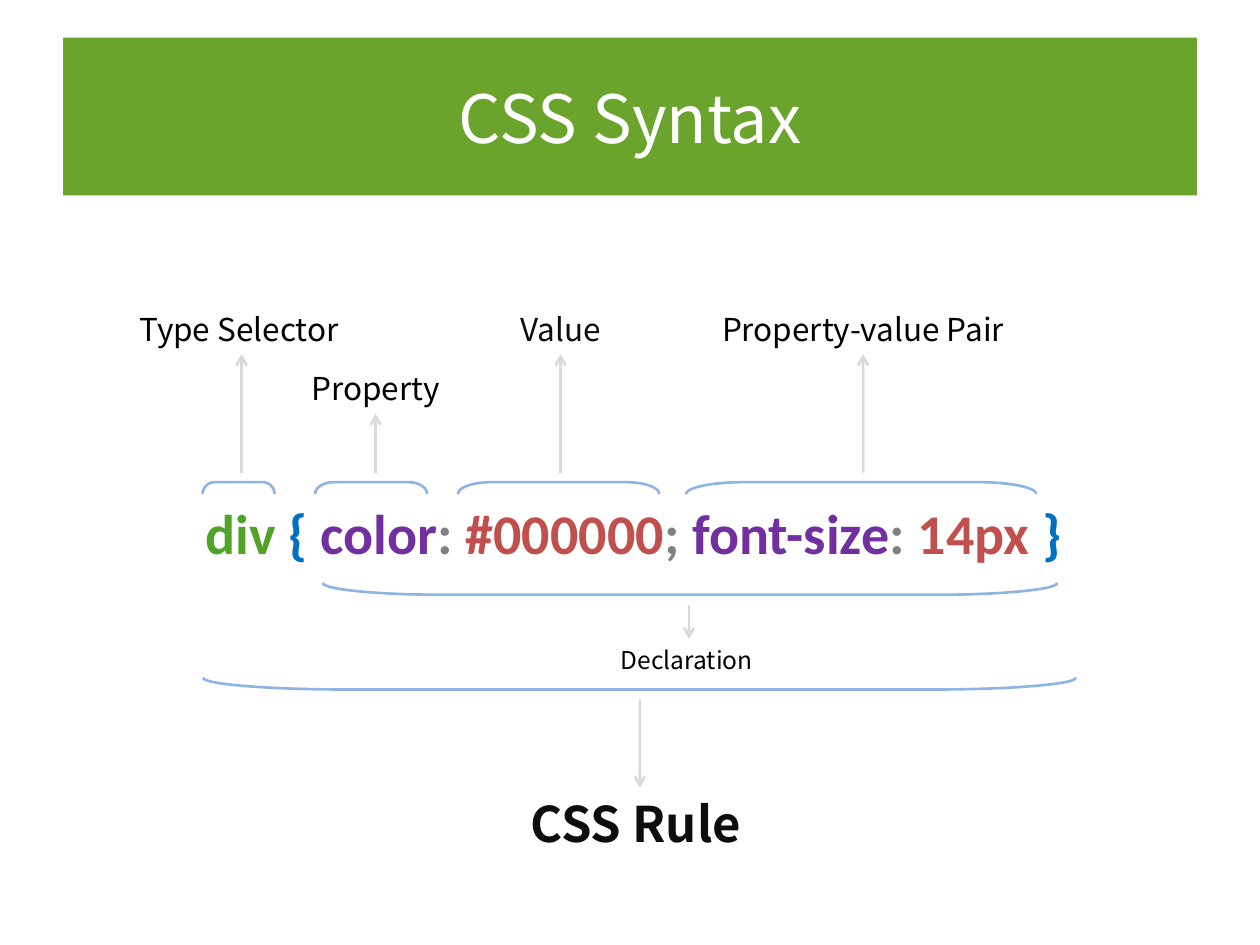
import pptx
import pptx.dml.color
import pptx.enum.shapes
import pptx.enum.text
import pptx.oxml
import pptx.oxml.ns
import pptx.util

Cm = pptx.util.Cm
Pt = pptx.util.Pt
ALIGN = pptx.enum.text.PP_ALIGN
SANS = "Noto Sans CJK SC"
THICK = 0.24  # depth of a bracket, cm

COLORS = {
    "band": "6BA42C", "white": "FFFFFF", "black": "000000", "ink": "0D0D0D",
    "arrow": "D9D9D9", "bracket": "8EB4E3", "tag": "51A228", "brace": "0070C0",
    "prop": "7030A0", "mark": "808080", "value": "C0504D",
}

CODE = [
    ("div ", "tag"), ("{ ", "brace"), ("color", "prop"), (": ", "mark"),
    ("#000000", "value"), ("; ", "mark"), ("font-size", "prop"),
    (": ", "mark"), ("14px ", "value"), ("}", "brace"),
]

# text, centre x, top, width, height, size, colour, bold, alignment, arrow start y
LABELS = [
    ("Type\u00a0Selector", 4.87, 6.12, 4.62, 1.02, 18, "black", False, ALIGN.LEFT, 9.53),
    ("Property", 7.57, 7.32, 3.18, 1.02, 18, "black", False, ALIGN.CENTER, 9.53),
    ("Value", 11.3, 6.12, 2.18, 1.02, 18, "ink", False, ALIGN.CENTER, 9.53),
    ("Property-value Pair", 17.4, 6.12, 6.4, 1.02, 18, "black", False, ALIGN.CENTER, 9.53),
    ("Declaration", 13.89, 12.88, 3.25, 0.86, 14, "black", False, ALIGN.LEFT, 12.19),
    ("CSS Rule", 12.9, 15.88, 4.9, 1.45, 28, "ink", True, ALIGN.LEFT, 14.1),
]

# centre x, centre y, length, rotation
BRACKETS = [
    (4.81, 9.84, 1.45, 90), (7.48, 9.84, 2.26, 90),
    (11.26, 9.84, 4.06, 90), (17.36, 9.84, 7.06, 90),
    (13.91, 11.87, 14.81, 270), (12.89, 13.78, 17.6, 270),
]


def rgb(name):
    return pptx.dml.color.RGBColor.from_string(COLORS[name])


def style(run, font, size, color, bold=False):
    run.font.name = font
    run.font.size = Pt(size)
    run.font.bold = bold
    run.font.color.rgb = rgb(color)


def add_title(slide, text):
    title = slide.shapes.title
    title.left, title.top = Cm(1.27), Cm(0.76)
    title.width, title.height = Cm(22.86), Cm(3.18)
    title.fill.solid()
    title.fill.fore_color.rgb = rgb("band")
    frame = title.text_frame
    frame.text = text
    frame.vertical_anchor = pptx.enum.text.MSO_ANCHOR.MIDDLE
    frame.paragraphs[0].alignment = ALIGN.CENTER
    style(frame.paragraphs[0].runs[0], SANS, 38, "white")


def add_box(slide, left, top, width, height):
    box = slide.shapes.add_textbox(Cm(left), Cm(top), Cm(width), Cm(height))
    box.text_frame.word_wrap = False
    box.text_frame.auto_size = pptx.enum.text.MSO_AUTO_SIZE.SHAPE_TO_FIT_TEXT
    return box


def add_code(slide):
    box = add_box(slide, 3.89, 9.93, 17.96, 1.63)
    for text, color in CODE:
        run = box.text_frame.paragraphs[0].add_run()
        run.text = text
        style(run, "Calibri", 32, color, True)


def add_label(slide, text, mid, top, width, height, size, color, bold, align):
    box = add_box(slide, mid - width / 2, top, width, height)
    box.text_frame.text = text
    para = box.text_frame.paragraphs[0]
    para.alignment = align
    style(para.runs[0], SANS, size, color, bold)
    return box


def add_arrow(slide, label, mid, start):
    site = 0 if Cm(start) < label.top else 2
    line = slide.shapes.add_connector(
        pptx.enum.shapes.MSO_CONNECTOR.STRAIGHT, Cm(mid), Cm(start), Cm(mid), label.top)
    line.end_connect(label, site)
    line.line.color.rgb = rgb("arrow")
    line.line.width = Pt(1.5)
    # Open arrowhead, no shadow
    qn = pptx.oxml.ns.qn
    ln = line.line._get_or_add_ln()
    ln.append(ln.makeelement(qn("a:tailEnd"), {"type": "arrow"}))
    props = line._element.spPr
    props.append(props.makeelement(qn("a:effectLst"), {}))


def add_bracket(slide, mid, level, length, turn):
    shape = slide.shapes.add_shape(
        pptx.enum.shapes.MSO_SHAPE.LEFT_BRACKET,
        Cm(mid - THICK / 2), Cm(level - length / 2), Cm(THICK), Cm(length))
    shape.rotation = turn
    shape.adjustments[0] = length / 6 / THICK  # each curve spans a sixth
    shape.shadow.inherit = False
    shape.fill.background()
    shape.line.color.rgb = rgb("bracket")
    shape.line.width = Pt(1.5)


def main():
    deck = pptx.Presentation()
    deck.slide_width, deck.slide_height = Cm(25.4), Cm(19.05)
    slide = deck.slides.add_slide(deck.slide_layouts[5])

    # Title and the rule itself
    add_title(slide, "CSS Syntax")
    add_code(slide)

    # Brackets around the parts of the rule
    for bracket in BRACKETS:
        add_bracket(slide, *bracket)

    # Names of the parts, each with its arrow
    for *label, start in LABELS:
        box = add_label(slide, *label)
        add_arrow(slide, box, label[1], start)

    deck.save("out.pptx")


if __name__ == "__main__":
    main()
